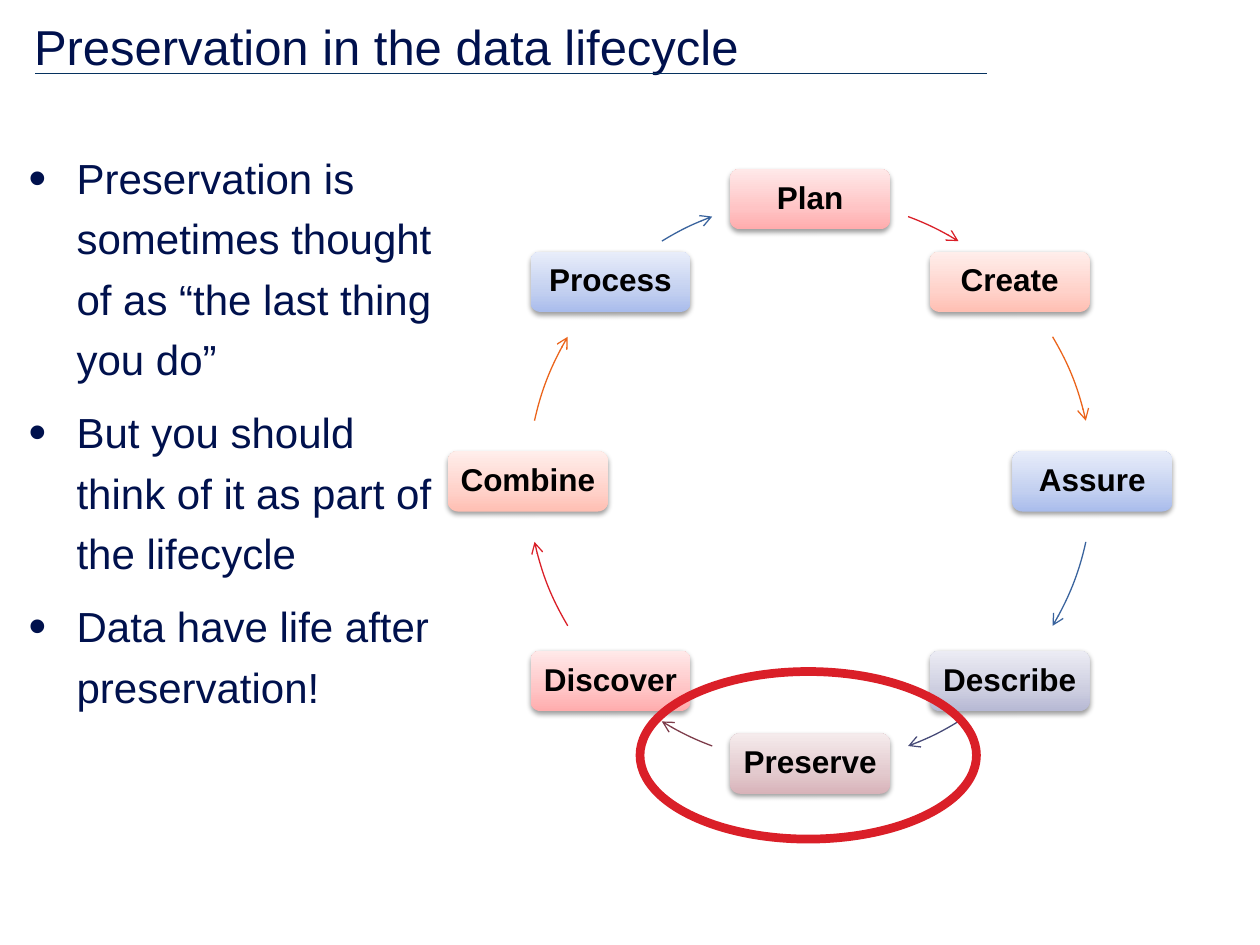
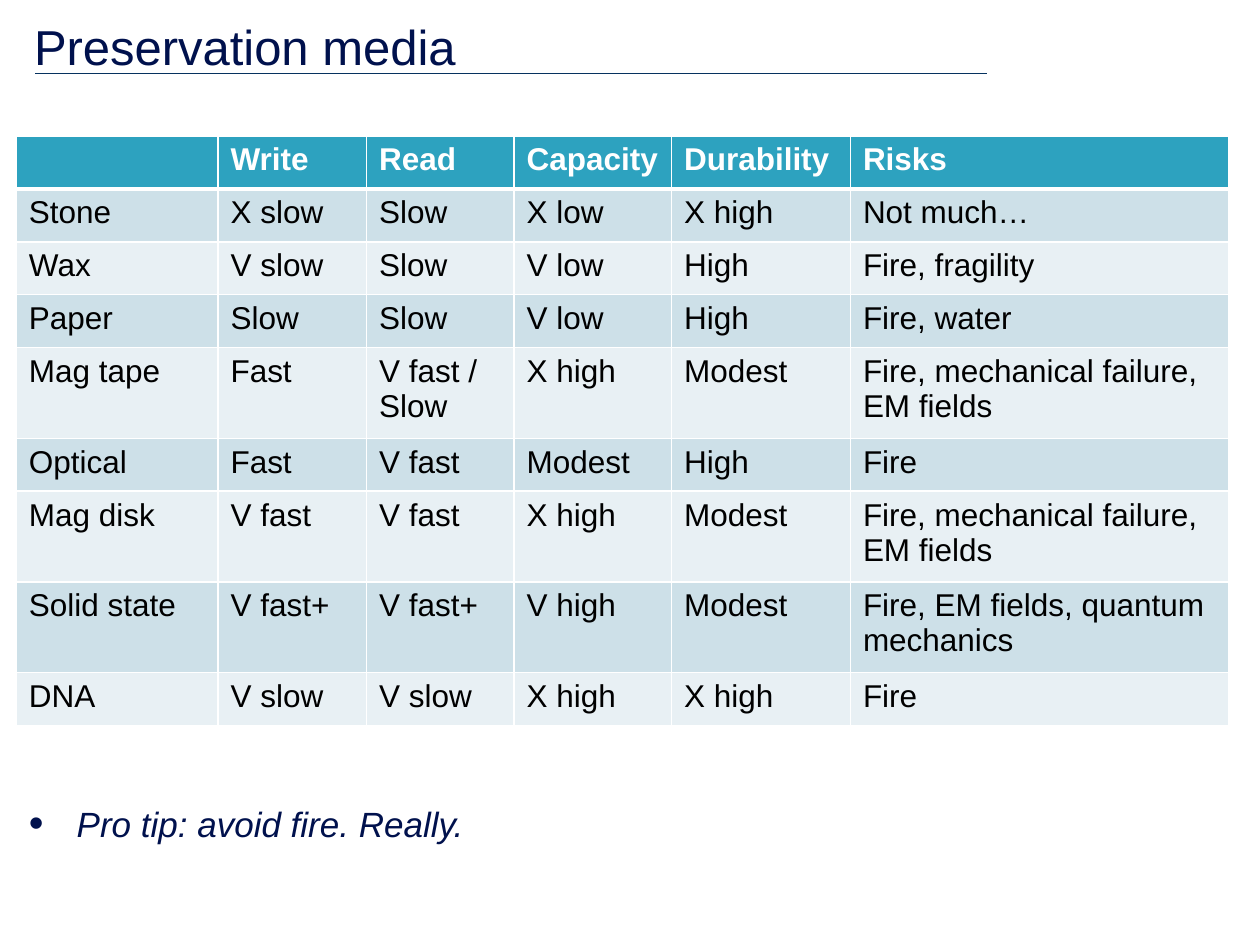
from pptx import Presentation
from pptx.dml.color import RGBColor
from pptx.enum.shapes import MSO_CONNECTOR, MSO_SHAPE
from pptx.enum.text import MSO_ANCHOR, MSO_AUTO_SIZE, PP_ALIGN
from pptx.oxml import parse_xml
from pptx.oxml.ns import nsdecls
from pptx.util import Inches, Pt

LEFT, CENTER = PP_ALIGN.LEFT, PP_ALIGN.CENTER
TOP, MIDDLE = MSO_ANCHOR.TOP, MSO_ANCHOR.MIDDLE
FONT = "Arial"

NAVY = RGBColor(0x00, 0x11, 0x4D)
RULE = RGBColor(0x06, 0x32, 0x5F)
BLACK = RGBColor(0x00, 0x00, 0x00)
WHITE = RGBColor(0xFF, 0xFF, 0xFF)
RED = RGBColor(0xDA, 0x1F, 0x28)
ORANGE = RGBColor(0xEB, 0x64, 0x1B)
BLUE = RGBColor(0x39, 0x63, 0x9D)
INDIGO = RGBColor(0x47, 0x4B, 0x78)
PLUM = RGBColor(0x7D, 0x3C, 0x4A)
TEAL = RGBColor(0x2D, 0xA2, 0xBF)
BAND_DARK = RGBColor(0xCD, 0xE0, 0xE8)
BAND_LIGHT = RGBColor(0xE8, 0xF0, 0xF4)

TINTS = {
    RED: (RGBColor(0xFF, 0xAC, 0xAD), RGBColor(0xFF, 0xC4, 0xC5), RGBColor(0xFF, 0xE9, 0xE9)),
    ORANGE: (RGBColor(0xFF, 0xBF, 0xB3), RGBColor(0xFF, 0xD2, 0xCA), RGBColor(0xFF, 0xEE, 0xEB)),
    BLUE: (RGBColor(0xA9, 0xBC, 0xEC), RGBColor(0xC3, 0xD0, 0xF0), RGBColor(0xE8, 0xED, 0xFA)),
    INDIGO: (RGBColor(0xB7, 0xB9, 0xD4), RGBColor(0xCD, 0xCE, 0xE0), RGBColor(0xEC, 0xEC, 0xF4)),
    PLUM: (RGBColor(0xD8, 0xB3, 0xB9), RGBColor(0xE3, 0xCA, 0xCE), RGBColor(0xF5, 0xEB, 0xEC)),
}
TINT_STOPS = (0, 35, 100)

LIFECYCLE_TITLE = "Preservation in the data lifecycle"
LIFECYCLE_POINTS = [
    "Preservation is sometimes thought of as “the last thing you do”",
    "But you should think of it as part of the lifecycle",
    "Data have life after preservation!",
]
STAGES = [
    ("Plan", RED), ("Create", ORANGE), ("Assure", BLUE), ("Describe", INDIGO),
    ("Preserve", PLUM), ("Discover", RED), ("Combine", ORANGE), ("Process", BLUE),
]
CYCLE_X, CYCLE_Y, CYCLE_RADIUS = 6.43, 3.82, 2.24
STAGE_WIDTH, STAGE_HEIGHT = 1.27, 0.48
DIAGONAL = 0.5 ** 0.5
DIRECTIONS = [
    (0, -1), (DIAGONAL, -DIAGONAL), (1, 0), (DIAGONAL, DIAGONAL),
    (0, 1), (-DIAGONAL, DIAGONAL), (-1, 0), (-DIAGONAL, -DIAGONAL),
]
HALF_TURN_ARROWS = [(20.3, 31.7), (59.2, 77.6), (102.4, 120.8), (148.3, 159.7)]

MEDIA_TITLE = "Preservation media"
MEDIA = [
    ("", "Write", "Read", "Capacity", "Durability", "Risks"),
    ("Stone", "X slow", "Slow", "X low", "X high", "Not much…"),
    ("Wax", "V slow", "Slow", "V low", "High", "Fire, fragility"),
    ("Paper", "Slow", "Slow", "V low", "High", "Fire, water"),
    ("Mag tape", "Fast", "V fast / Slow", "X high", "Modest", "Fire, mechanical failure, EM fields"),
    ("Optical", "Fast", "V fast", "Modest", "High", "Fire"),
    ("Mag disk", "V fast", "V fast", "X high", "Modest", "Fire, mechanical failure, EM fields"),
    ("Solid state", "V fast+", "V fast+", "V high", "Modest", "Fire, EM fields, quantum mechanics"),
    ("DNA", "V slow", "V slow", "X high", "X high", "Fire"),
]
MEDIA_WIDTHS = (1.6, 1.18, 1.17, 1.25, 1.42, 3)
ONE_LINE, TWO_LINES = 0.42, 0.72
TWO_LINE_MEDIA = ("Mag tape", "Mag disk", "Solid state")
PRO_TIP = "Pro tip: avoid fire. Really."


def box(*lengths):
    return [Inches(length) for length in lengths]


def write(frame, paragraphs, size=18, color=BLACK, bold=False, italic=False,
          align=LEFT, spacing=None, bullet=False):
    for index, text in enumerate(paragraphs):
        paragraph = frame.paragraphs[0] if index == 0 else frame.add_paragraph()
        paragraph.alignment = align
        if spacing:
            paragraph.line_spacing = spacing
        if bullet:
            paragraph.space_before = Pt(0.3 * size)
            properties = paragraph._p.get_or_add_pPr()
            properties.set("marL", str(Inches(0.38)))
            properties.set("indent", str(-Inches(0.38)))
            for mark in ('buSzPct val="120000"', f'buFont typeface="{FONT}"', 'buChar char="•"'):
                properties.append(parse_xml(f"<a:{mark} {nsdecls('a')}/>"))
        if text:
            run = paragraph.add_run()
            run.text = text
            run.font.name = FONT
            run.font.size = Pt(size)
            run.font.bold = bold
            run.font.italic = italic
            run.font.color.rgb = color


def add_titled_slide(deck, title_text):
    slide = deck.slides.add_slide(deck.slide_layouts[5])
    rule = slide.shapes.add_connector(MSO_CONNECTOR.STRAIGHT, *box(0.28, 0.58, 7.83, 0.58))
    rule.line.color.rgb = RULE
    rule.line.width = Pt(0.5)
    rule._element.spPr.append(parse_xml(f"<a:effectLst {nsdecls('a')}/>"))
    title = slide.shapes.title
    title.left, title.top, title.width, title.height = box(0.17, 0.08, 7.67, 0.57)
    title.text_frame.auto_size = MSO_AUTO_SIZE.NONE
    title.text_frame.vertical_anchor = MIDDLE
    write(title.text_frame, [title_text], size=28, color=NAVY)
    return slide


def add_points(slide, place, points, **style):
    frame = slide.shapes.add_textbox(*box(*place)).text_frame
    frame.word_wrap = True
    frame.vertical_anchor = TOP
    write(frame, points, color=NAVY, spacing=1.2, bullet=True, **style)


def add_stage(slide, name, color, direction):
    x = CYCLE_X + CYCLE_RADIUS * direction[0]
    y = CYCLE_Y + CYCLE_RADIUS * direction[1]
    stage = slide.shapes.add_shape(
        MSO_SHAPE.ROUNDED_RECTANGLE,
        *box(x - STAGE_WIDTH / 2, y - STAGE_HEIGHT / 2, STAGE_WIDTH, STAGE_HEIGHT))
    stage.line.fill.background()
    stage.shadow.inherit = False
    stops = "".join(
        f'<a:gs pos="{stop * 1000}"><a:srgbClr val="{tint}"/></a:gs>'
        for stop, tint in zip(TINT_STOPS, TINTS[color]))
    properties = stage._element.spPr
    properties.insert(2, parse_xml(
        f'<a:gradFill {nsdecls("a")} rotWithShape="1"><a:gsLst>{stops}</a:gsLst>'
        '<a:lin ang="16200000" scaled="0"/></a:gradFill>'))
    properties.effectLst.append(parse_xml(
        f'<a:outerShdw {nsdecls("a")} blurRad="{Pt(3.1)}" dist="{Pt(1.6)}" dir="5400000" '
        f'rotWithShape="0"><a:srgbClr val="{BLACK}"><a:alpha val="38000"/></a:srgbClr></a:outerShdw>'))
    frame = stage.text_frame
    frame.word_wrap = False
    frame.vertical_anchor = MIDDLE
    frame.margin_left = frame.margin_right = Inches(0.07)
    frame.margin_top = frame.margin_bottom = Inches(0.07)
    write(frame, [name], bold=True, align=CENTER, spacing=0.9)


def add_cycle_arrow(slide, color, start, end):
    arrow = slide.shapes.add_shape(
        MSO_SHAPE.ARC,
        *box(CYCLE_X - CYCLE_RADIUS, CYCLE_Y - CYCLE_RADIUS, 2 * CYCLE_RADIUS, 2 * CYCLE_RADIUS))
    for index, angle in enumerate((start, end)):
        arrow.adjustments[index] = (angle - 90) % 360 * 0.6
    arrow.fill.background()
    arrow.shadow.inherit = False
    arrow.line.color.rgb = color
    arrow.line.width = Pt(0.75)
    arrow.line._get_or_add_ln().append(parse_xml(f'<a:tailEnd {nsdecls("a")} type="arrow"/>'))


def build_lifecycle(deck):
    slide = add_titled_slide(deck, LIFECYCLE_TITLE)
    add_points(slide, (0.13, 1.08, 3.53, 5.75), LIFECYCLE_POINTS, size=24)
    for index, (name, color) in enumerate(STAGES):
        add_stage(slide, name, color, DIRECTIONS[index])
        half, quarter = divmod(index, 4)
        start, end = HALF_TURN_ARROWS[quarter]
        add_cycle_arrow(slide, color, start + 180 * half, end + 180 * half)
    highlight = slide.shapes.add_shape(MSO_SHAPE.OVAL, *box(5.08, 5.33, 2.67, 1.33))
    highlight.fill.background()
    highlight.shadow.inherit = False
    highlight.line.color.rgb = RED
    highlight.line.width = Pt(5)


def style_cell(cell, fill, bottom_width):
    properties = cell._tc.get_or_add_tcPr()
    for side, width in (("L", 1), ("R", 1), ("T", 1), ("B", bottom_width)):
        properties.append(parse_xml(
            f'<a:ln{side} {nsdecls("a")} w="{Pt(width)}"><a:solidFill>'
            f'<a:srgbClr val="{WHITE}"/></a:solidFill></a:ln{side}>'))
    cell.fill.solid()
    cell.fill.fore_color.rgb = fill


def build_media(deck):
    slide = add_titled_slide(deck, MEDIA_TITLE)
    heights = [TWO_LINES if row[0] in TWO_LINE_MEDIA else ONE_LINE for row in MEDIA]
    table = slide.shapes.add_table(
        len(MEDIA), len(MEDIA_WIDTHS), *box(0.13, 1.08, sum(MEDIA_WIDTHS), sum(heights))).table
    for column, width in zip(table.columns, MEDIA_WIDTHS):
        column.width = Inches(width)
    for index, (entries, height) in enumerate(zip(MEDIA, heights)):
        table.rows[index].height = Inches(height)
        header = index == 0
        fill = TEAL if header else BAND_DARK if index % 2 else BAND_LIGHT
        for position, entry in enumerate(entries):
            cell = table.cell(index, position)
            style_cell(cell, fill, 3 if header else 1)
            write(cell.text_frame, [entry], color=WHITE if header else BLACK, bold=header)
    add_points(slide, (0.13, 6.25, 9.62, 0.58), [PRO_TIP], size=20, italic=True)


def main():
    deck = Presentation()
    deck.slide_width, deck.slide_height = box(10, 7.5)
    build_lifecycle(deck)
    build_media(deck)
    deck.save("out.pptx")


if __name__ == "__main__":
    main()
